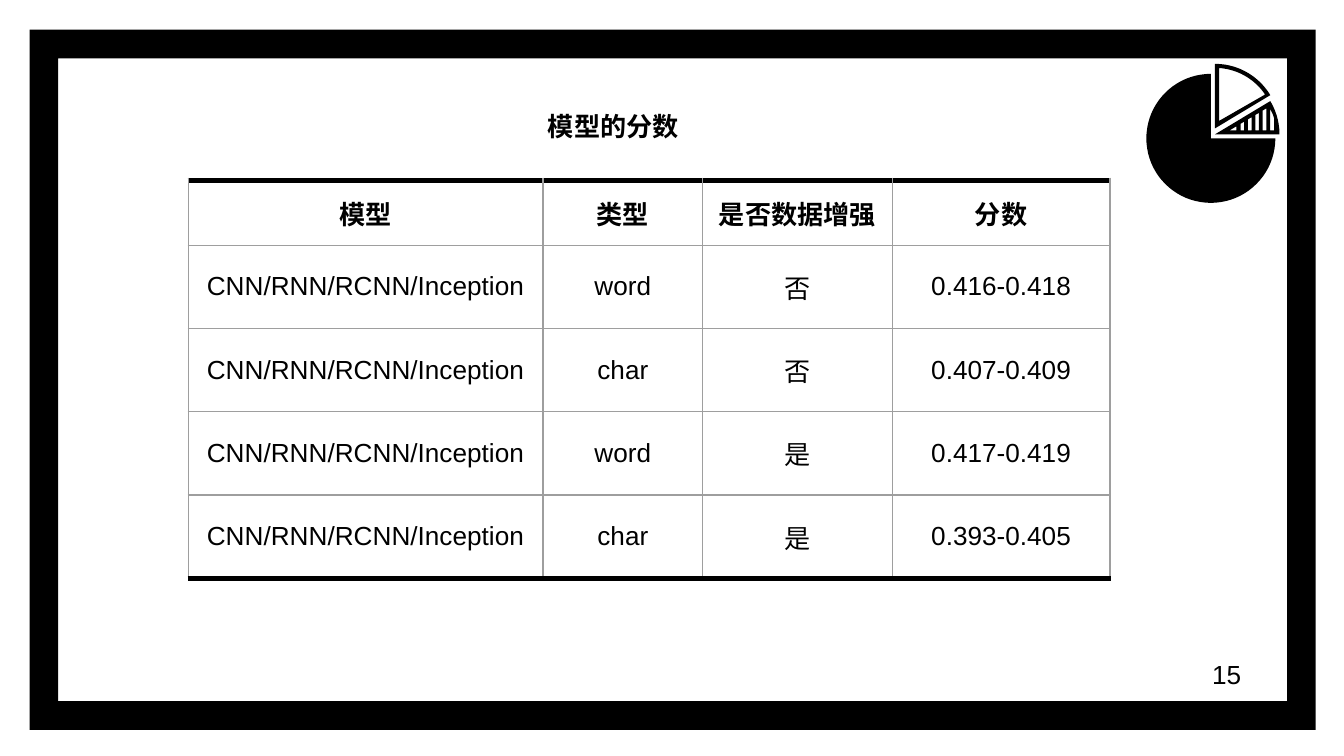
from dataclasses import dataclass
from math import cos, radians, sin

from lxml.etree import SubElement
from pptx import Presentation
from pptx.dml.color import RGBColor
from pptx.enum.shapes import MSO_SHAPE
from pptx.enum.text import MSO_ANCHOR, MSO_AUTO_SIZE, PP_ALIGN
from pptx.oxml.ns import qn
from pptx.util import Inches, Pt


@dataclass(frozen=True)
class Theme:
    ink: str = "000000"
    grid_line: str = "9E9E9E"
    font: str = "Arial"
    text_size: float = 14
    thin: float = 0.75
    thick: float = 3
    inset: float = 1


def arc(center, radius, start, end, steps=24):
    """Points on a circle; degrees run clockwise from the right."""
    angles = [radians(start + (end - start) * i / steps) for i in range(steps + 1)]
    return [(center[0] + radius * cos(a), center[1] + radius * sin(a)) for a in angles]


class SlideBuilder:
    """Places elements on a grid of square cells, 100 columns across the slide."""

    def __init__(self, presentation, theme):
        self.theme = theme
        self.cell_size = presentation.slide_width / 100
        self.slide = presentation.slides.add_slide(presentation.slide_layouts[5])

    def units(self, value):
        return round(value * self.cell_size)

    def box(self, *values):
        return [self.units(value) for value in values]

    def paint(self, shape):
        shape.shadow.inherit = False
        shape.fill.solid()
        shape.fill.fore_color.rgb = RGBColor.from_string(self.theme.ink)
        shape.line.fill.background()

    def set_text(self, text_frame, text, align, bold=False):
        text_frame.text = text
        paragraph = text_frame.paragraphs[0]
        paragraph.alignment = align
        font = paragraph.runs[0].font
        font.name, font.size, font.bold = self.theme.font, Pt(self.theme.text_size), bold
        font.color.rgb = RGBColor.from_string(self.theme.ink)

    def set_insets(self, target):
        inset = self.units(self.theme.inset)
        target.margin_left = target.margin_right = inset
        target.margin_top = target.margin_bottom = inset

    def fill_text_box(self, shape, text, align, anchor, bold=False):
        text_frame = shape.text_frame
        text_frame.word_wrap = True
        text_frame.auto_size = MSO_AUTO_SIZE.NONE
        text_frame.vertical_anchor = anchor
        self.set_insets(text_frame)
        self.set_text(text_frame, text, align, bold)

    def title(self, text, *place):
        title = self.slide.shapes.title
        title.left, title.top, title.width, title.height = self.box(*place)
        self.fill_text_box(title, text, PP_ALIGN.CENTER, MSO_ANCHOR.TOP, bold=True)

    def page_number(self, text, *place):
        shape = self.slide.shapes.add_textbox(*self.box(*place))
        self.fill_text_box(shape, text, PP_ALIGN.LEFT, MSO_ANCHOR.MIDDLE)

    def frame(self, thickness, *place):
        shape = self.slide.shapes.add_shape(MSO_SHAPE.FRAME, *self.box(*place))
        shape.adjustments[0] = thickness
        self.paint(shape)

    def outline(self, *contours):
        """Fill the first contour; the others are holes in it."""
        first, *holes = [[self.box(*point) for point in contour] for contour in contours]
        builder = self.slide.shapes.build_freeform(*first[0])
        builder.add_line_segments(first[1:], close=True)
        for hole in holes:
            builder.move_to(*hole[0])
            builder.add_line_segments(hole[1:], close=True)
        self.paint(builder.convert_to_shape())

    def border(self, cell, side, color, width):
        line = SubElement(cell._tc.get_or_add_tcPr(), qn(f"a:ln{side}"), w=str(Pt(width)))
        SubElement(SubElement(line, qn("a:solidFill")), qn("a:srgbClr"), val=color)

    def table(self, rows, left, top, widths, heights):
        place = self.box(left, top, sum(widths), sum(heights))
        table = self.slide.shapes.add_table(len(rows), len(widths), *place).table
        table.first_row = table.horz_banding = False
        for column, width in zip(table.columns, widths):
            column.width = self.units(width)
        thin = self.theme.grid_line, self.theme.thin
        thick = self.theme.ink, self.theme.thick
        last = len(rows) - 1
        for r, (values, height) in enumerate(zip(rows, heights)):
            table.rows[r].height = self.units(height)
            for c, value in enumerate(values):
                cell = table.cell(r, c)
                cell.vertical_anchor = MSO_ANCHOR.MIDDLE
                self.set_insets(cell)
                self.set_text(cell.text_frame, value, PP_ALIGN.CENTER, bold=r == 0)
                self.border(cell, "L", *thin)
                self.border(cell, "R", *thin)
                self.border(cell, "T", *(thick if r == 0 else thin))
                self.border(cell, "B", *(thick if r == last else thin))
                cell.fill.background()

    def pie_icon(self):
        radius = 4.8
        center = (90.1, 10.3)
        self.outline([center] + arc(center, radius, 0, 270, 60))

        striped_tip = (90.4, 10)
        base, hole_start = 9.7, 91.5

        def slope(x):
            return base - 0.6 * (x - hole_start)

        stripes = [[(hole_start, base), (92, slope(92)), (92, base)]]
        for i in range(4):
            left = 92.3 + 0.55 * i
            right = left + 0.27
            stripes.append([(left, base), (left, slope(left)), (right, slope(right)), (right, base)])
        stripes.append([(94.5, base), (94.5, 8.1), (94.7, 8.5), (94.8, 8.8), (94.8, base)])
        self.outline([striped_tip] + arc(striped_tip, radius, -31, 0), *stripes)

        open_tip = (90.4, 9.55)
        self.outline([open_tip] + arc(open_tip, radius, -90, -31),
                     [(90.7, 9)] + arc(open_tip, radius - 0.3, -86, -34))


def main():
    presentation = Presentation()
    presentation.slide_width, presentation.slide_height = Inches(10), Inches(5.625)
    builder = SlideBuilder(presentation, Theme())

    model = "CNN/RNN/RCNN/Inception"
    results = [("word", "否", "0.416-0.418"), ("char", "否", "0.407-0.409"),
               ("word", "是", "0.417-0.419"), ("char", "是", "0.393-0.405")]
    rows = [("模型", "类型", "是否数据增强", "分数")] + [(model, *result) for result in results]

    builder.frame(0.041, 2.2, 2.2, 95.7, 52.1)
    builder.page_number("15", 89.2, 48, 6, 4.3)
    builder.table(rows, 14, 13.4, widths=[26.4, 11.9, 14.1, 16.2],
                  heights=[4.8] + [6.2] * len(results))
    builder.title("模型的分数", 26.5, 7.2, 38.3, 5.5)
    builder.pie_icon()
    presentation.save("out.pptx")


if __name__ == "__main__":
    main()
